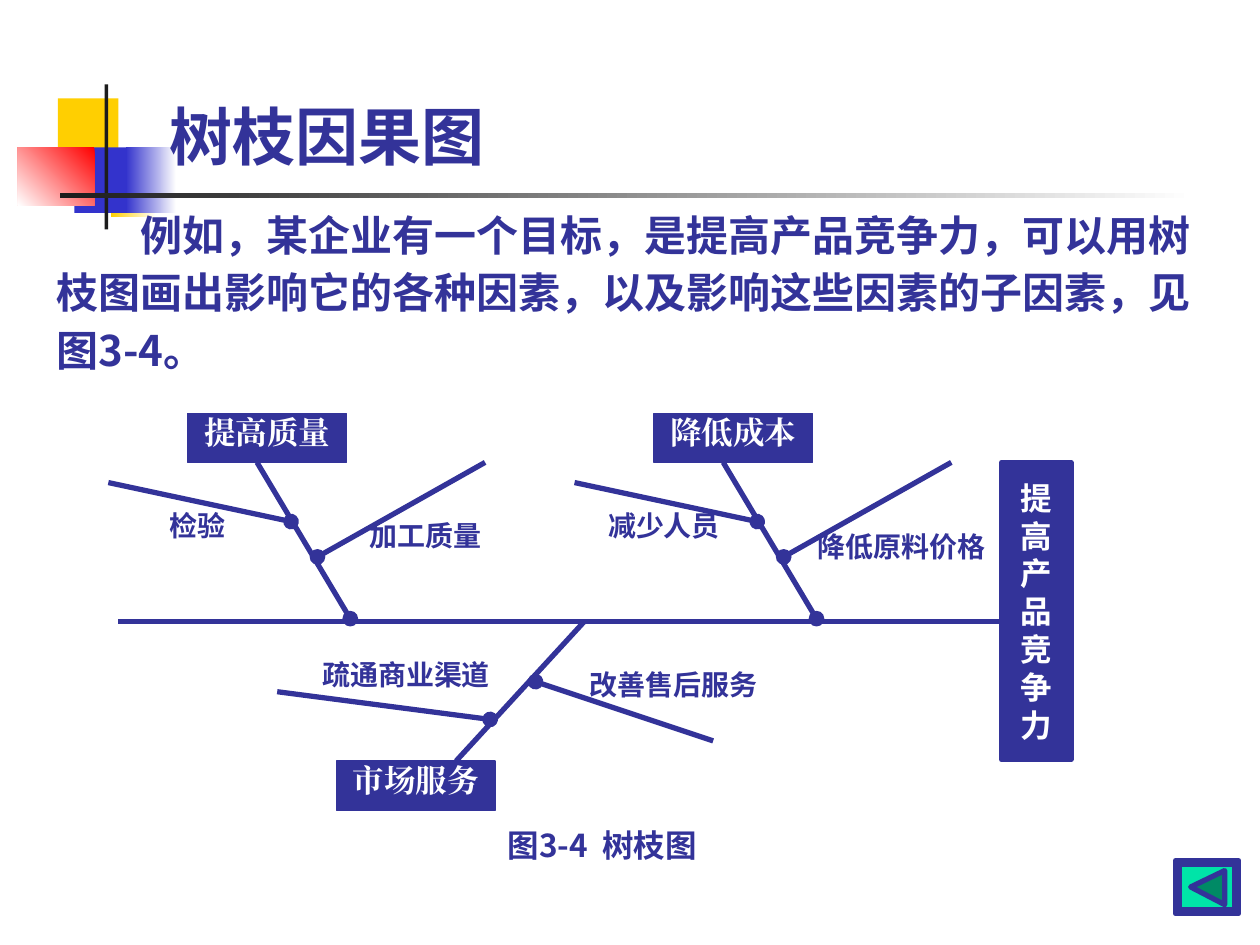
from lxml.etree import SubElement
from pptx import Presentation
from pptx.dml.color import RGBColor
from pptx.enum.shapes import MSO_CONNECTOR, MSO_SHAPE
from pptx.enum.text import MSO_ANCHOR, PP_ALIGN
from pptx.oxml.ns import qn
from pptx.util import Inches, Pt

NAVY, WHITE, BLACK = "333399", "FFFFFF", "1C1C1C"
YELLOW, BLUE, RED = "FFCF01", "3333CC", "FF0000"
MINT, GREEN = "00E4A8", "008A65"
SANS, SERIF = "Noto Sans CJK SC", "Times New Roman"

TITLE = "树枝因果图"
BODY = ("例如，某企业有一个目标，是提高产品竞争力，可以用树枝图画出影响它的各种因素，"
        "以及影响这些因素的子因素，见图3-4。")
GOAL = "提高产品竞争力"
CAPTION = "图3-4  树枝图"

# Decoration: left, top, width, height, colours, gradient angle
DECORATION = [
    (0.46, 0.78, 0.48, 0.52, [YELLOW], None),
    (0.88, 1.2, 0.36, 0.52, [WHITE, YELLOW], 180),
    (0.59, 1.17, 0.46, 0.52, [BLUE], None),
    (1, 1.17, 0.4, 0.52, [WHITE, BLUE], 180),
    (0.14, 1.17, 0.61, 0.46, [RED, WHITE], 225),
    (0.83, 0.67, 0.03, 1.15, [BLACK], None),
    (0.48, 1.53, 9, 0.04, [WHITE, BLACK], 180),
]

# Causes: text, left, top
CAUSES = [("提高质量", 1.49, 3.28), ("降低成本", 5.19, 3.28), ("市场服务", 2.67, 6.04)]
CAUSE_SIZE = (1.26, 0.39)

# Sub-causes: text, left, top, width
SUB_CAUSES = [
    ("检验", 1.02, 3.99, 1.1),
    ("加工质量", 2.59, 4.07, 1.57),
    ("减少人员", 4.72, 3.99, 1.1),
    ("降低原料价格", 6.37, 4.15, 1.57),
    ("疏通商业渠道", 2.36, 5.17, 1.73),
    ("改善售后服务", 4.56, 5.25, 1.57),
]

# Branch lines end in a dot; the upper branch appears twice
UPPER_BRANCH = [
    (2.04, 3.67, 2.78, 4.91),
    (3.85, 3.67, 2.52, 4.42),
    (0.86, 3.83, 2.31, 4.14),
]
UPPER_SHIFTS = [0, 3.7]
LOWER_TWIGS = [(2.2, 5.49, 3.89, 5.71), (5.66, 5.88, 4.25, 5.41)]
PLAIN_LINES = [(0.94, 4.93, 7.95, 4.93), (4.64, 4.93, 3.62, 6.04)]


def color(value):
    return RGBColor.from_string(value)


def style(shape, fill, line=None, width=3):
    shape.shadow.inherit = False
    shape.fill.solid()
    shape.fill.fore_color.rgb = color(fill)
    if line:
        shape.line.color.rgb = color(line)
        shape.line.width = Pt(width)
    else:
        shape.line.fill.background()


def add_box(slide, box, fill, line=None, width=3, kind=MSO_SHAPE.RECTANGLE):
    shape = slide.shapes.add_shape(kind, *map(Inches, box))
    style(shape, fill, line, width)
    return shape


def add_text_box(slide, box):
    return slide.shapes.add_textbox(*map(Inches, box))


def write(shape, lines, size, text_color=NAVY, font=SANS, align=PP_ALIGN.CENTER,
          anchor=MSO_ANCHOR.TOP, margins=(0.1, 0.05), wrap=True):
    frame = shape.text_frame
    frame.word_wrap = wrap
    frame.vertical_anchor = anchor
    frame.margin_left = frame.margin_right = Inches(margins[0])
    frame.margin_top = frame.margin_bottom = Inches(margins[1])
    frame.text = "\n".join(lines)
    for paragraph in frame.paragraphs:
        paragraph.alignment = align
        paragraph.font.size = Pt(size)
        paragraph.font.bold = True
        paragraph.font.name = font
        paragraph.font.color.rgb = color(text_color)
        # East Asian typeface
        defaults = paragraph._p.pPr.find(qn("a:defRPr"))
        SubElement(defaults, qn("a:ea")).set("typeface", font)
    return frame


def add_line(slide, ends, dot=False):
    line = slide.shapes.add_connector(MSO_CONNECTOR.STRAIGHT, *map(Inches, ends))
    line.line.color.rgb = color(NAVY)
    line.line.width = Pt(3)
    if dot:
        SubElement(line.line._get_or_add_ln(), qn("a:tailEnd")).set("type", "oval")
    SubElement(line._element.spPr, qn("a:effectLst"))


def add_decoration(slide):
    for *box, colors, angle in DECORATION:
        shape = add_box(slide, box, colors[0])
        if angle is not None:
            shape.fill.gradient()
            shape.fill.gradient_angle = angle
            for stop, value in zip(shape.fill.gradient_stops, colors):
                stop.color.rgb = color(value)


def add_diagram(slide):
    # Spine and branches
    for ends in PLAIN_LINES:
        add_line(slide, ends)
    for shift in UPPER_SHIFTS:
        for x1, y1, x2, y2 in UPPER_BRANCH:
            add_line(slide, (x1 + shift, y1, x2 + shift, y2), dot=True)
    for ends in LOWER_TWIGS:
        add_line(slide, ends, dot=True)

    # Goal, causes and sub-causes
    goal = add_box(slide, (7.95, 3.67, 0.55, 2.36), NAVY, NAVY)
    write(goal, GOAL, 18, WHITE, anchor=MSO_ANCHOR.MIDDLE, wrap=False)
    for text, left, top in CAUSES:
        cause = add_box(slide, (left, top, *CAUSE_SIZE), NAVY, NAVY, 0.75)
        write(cause, [text], 18, WHITE, SERIF, margins=(0, 0))
    for text, left, top, width in SUB_CAUSES:
        write(add_text_box(slide, (left, top, width, 0.37)), [text], 16)

    write(add_box(slide, (3.78, 6.51, 2, 0.32), WHITE), [CAPTION], 18)


def add_back_button(slide):
    bevel = add_box(slide, (9.33, 6.83, 0.5, 0.42), MINT, NAVY, kind=MSO_SHAPE.BEVEL)
    bevel.adjustments[0] = 0.07
    builder = slide.shapes.build_freeform(Inches(9.45), Inches(7.04))
    corners = [(9.72, 6.91), (9.72, 7.18)]
    builder.add_line_segments([(Inches(x), Inches(y)) for x, y in corners], close=True)
    style(builder.convert_to_shape(), GREEN, NAVY)


def main():
    presentation = Presentation()
    presentation.slide_width, presentation.slide_height = Inches(10), Inches(7.5)
    slide = presentation.slides.add_slide(presentation.slide_layouts[6])

    add_decoration(slide)

    # Title and introduction
    write(add_text_box(slide, (1.25, 0.75, 8.52, 0.67)), [TITLE], 36,
          align=PP_ALIGN.LEFT, anchor=MSO_ANCHOR.BOTTOM)
    body = write(add_text_box(slide, (0.35, 1.55, 9.29, 1.48)), [BODY], 24,
                 align=PP_ALIGN.LEFT)
    body.paragraphs[0].line_spacing = 1.15
    body.paragraphs[0]._p.pPr.set("indent", str(Inches(0.67)))

    add_diagram(slide)
    add_back_button(slide)
    presentation.save("out.pptx")


if __name__ == "__main__":
    main()
